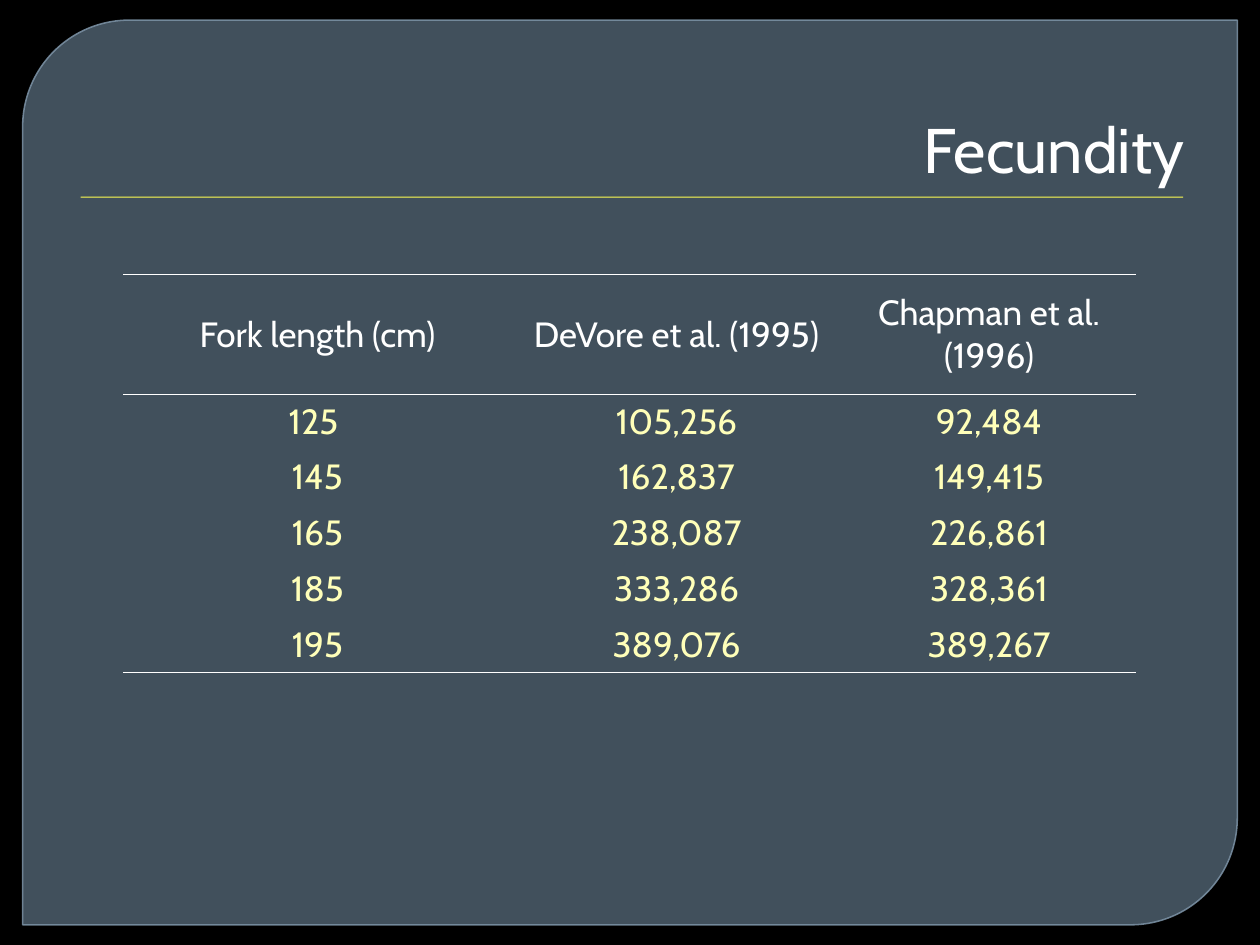
from typing import NamedTuple

from lxml.etree import SubElement
from pptx import Presentation
from pptx.dml.color import RGBColor
from pptx.enum.shapes import MSO_SHAPE as Shape
from pptx.enum.text import MSO_ANCHOR as Anchor, MSO_AUTO_SIZE as AutoSize, PP_ALIGN as Align
from pptx.oxml.ns import qn
from pptx.util import Inches, Pt

FONT = "Cabin"
COLORS = {
    "background": "000000",
    "panel": "647B8E",
    "panel_edge": "7B91A4",
    "accent": "FFFF51",
    "heading": "FFFFFF",
    "value": "FFFFB9",
}


class Box(NamedTuple):
    left: float
    top: float
    width: float
    height: float

    def lengths(self) -> list:
        return [Inches(value) for value in self]


class Row(NamedTuple):
    cells: tuple
    height: float = 0.42
    color: str = "value"
    anchor: Anchor = Anchor.BOTTOM
    rule_above: bool = False
    rule_below: bool = False


COLUMN_WIDTHS = (3.08, 2.62, 2.34)
ROWS = (
    Row(("Fork length (cm)", "DeVore et al. (1995)", "Chapman et al. (1996)"),
        0.95, "heading", Anchor.MIDDLE, rule_above=True, rule_below=True),
    Row(("125 ", "105,256", "92,484"), rule_above=True),
    Row(("145", "162,837", "149,415")),
    Row(("165", "238,087", "226,861")),
    Row(("185", "333,286", "328,361"), height=0.45),
    Row(("195", "389,076", "389,267"), rule_below=True),
)


def rgb(name: str) -> RGBColor:
    return RGBColor.from_string(COLORS[name])


def set_opacity(fill_parent, percent: int) -> None:
    color = fill_parent.find(qn("a:solidFill"))[0]
    SubElement(color, qn("a:alpha"), val=str(percent * 1000))


def style_paragraph(para, size: int, color: str, align: Align) -> None:
    para.alignment = align
    para.font.name = FONT
    para.font.size = Pt(size)
    para.font.bold = False
    para.font.color.rgb = rgb(color)


def add_panel(page) -> None:
    panel = page.shapes.add_shape(Shape.ROUND_2_DIAG_RECTANGLE, *Box(0.18, 0.16, 9.64, 7.18).lengths())
    panel.adjustments[0] = 0.118
    panel.adjustments[1] = 0
    panel.shadow.inherit = False
    panel.fill.solid()
    panel.fill.fore_color.rgb = rgb("panel")
    set_opacity(panel.element.spPr, 65)
    panel.line.color.rgb = rgb("panel_edge")
    panel.line.width = Pt(0.87)
    set_opacity(panel.element.spPr.find(qn("a:ln")), 88)


def add_title_rule(page) -> None:
    rule = page.shapes.add_shape(Shape.RECTANGLE, *Box(0.64, 1.56, 8.75, 0.01).lengths())
    rule.shadow.inherit = False
    rule.fill.solid()
    rule.fill.fore_color.rgb = rgb("accent")
    rule.line.fill.background()


def set_title(page, text: str) -> None:
    """Fill the title placeholder and bring it in front of the panel."""
    title = page.shapes.title
    title.left, title.top, title.width, title.height = Box(0.5, 0.28, 9, 1.25).lengths()
    title.element.getparent().append(title.element)
    frame = title.text_frame
    frame.text = text
    frame.auto_size = AutoSize.NONE
    frame.vertical_anchor = Anchor.BOTTOM
    style_paragraph(frame.paragraphs[0], 36, "heading", Align.RIGHT)


def set_borders(cell, above: bool, below: bool) -> None:
    properties = cell._tc.get_or_add_tcPr()
    for side, visible in (("L", False), ("R", False), ("T", above), ("B", below)):
        border = SubElement(properties, qn(f"a:ln{side}"), w=str(Pt(1)))
        if visible:
            fill = SubElement(border, qn("a:solidFill"))
            SubElement(fill, qn("a:srgbClr"), val=COLORS["heading"])
        else:
            SubElement(border, qn("a:noFill"))


def add_fecundity_table(page) -> None:
    box = Box(0.98, 2.18, sum(COLUMN_WIDTHS), sum(row.height for row in ROWS))
    table = page.shapes.add_table(len(ROWS), len(COLUMN_WIDTHS), *box.lengths()).table
    table.first_row = table.horz_banding = False
    for column, width in zip(table.columns, COLUMN_WIDTHS):
        column.width = Inches(width)
    for table_row, row in zip(table.rows, ROWS):
        table_row.height = Inches(row.height)
        for cell, text in zip(table_row.cells, row.cells):
            cell.text = text
            cell.vertical_anchor = row.anchor
            set_borders(cell, row.rule_above, row.rule_below)
            cell.fill.background()
            style_paragraph(cell.text_frame.paragraphs[0], 20, row.color, Align.CENTER)


def main() -> None:
    deck = Presentation()
    deck.slide_width, deck.slide_height = Inches(10), Inches(7.5)
    page = deck.slides.add_slide(deck.slide_layouts[5])
    page.background.fill.solid()
    page.background.fill.fore_color.rgb = rgb("background")
    add_panel(page)
    add_title_rule(page)
    set_title(page, "Fecundity")
    add_fecundity_table(page)
    deck.save("out.pptx")


if __name__ == "__main__":
    main()
